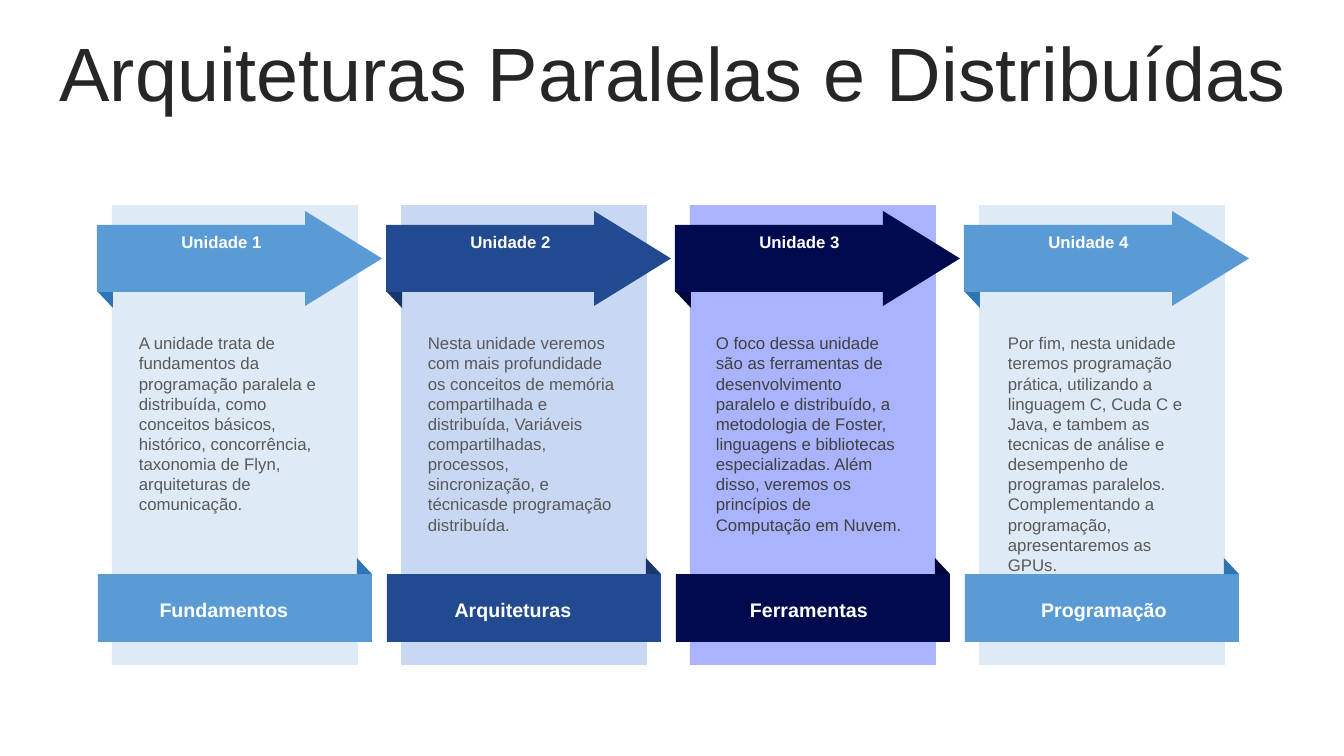
import pptx
import pptx.dml.color
import pptx.enum.shapes
import pptx.enum.text
import pptx.util

SCALE = 914400 / 100.8  # EMU per pixel
PITCH = 289  # distance between unit columns
SHAPES = pptx.enum.shapes.MSO_SHAPE
ALIGN = pptx.enum.text.PP_ALIGN
ANCHOR = pptx.enum.text.MSO_ANCHOR
AUTO_SIZE = pptx.enum.text.MSO_AUTO_SIZE

SKY = {"main": "5A9BD5", "fold": "2E75B5", "panel": "DEEBF7", "text": "595959"}
BLUE = {"main": "224A90", "fold": "19376C", "panel": "C9D8F2", "text": "595959"}
NAVY = {"main": "010A4F", "fold": "01073B", "panel": "AAB4FE", "text": "404040"}

# topic, palette, description, left of description, left of topic (within the column)
UNITS = [
    ("Fundamentos", SKY,
     "A unidade trata de fundamentos da programação paralela e distribuída, como "
     "conceitos básicos, histórico, concorrência, taxonomia de Flyn, arquiteturas "
     "de comunicação.", 129, 138),
    ("Arquiteturas", BLUE,
     "Nesta unidade veremos com mais profundidade os conceitos de memória "
     "compartilhada e distribuída, Variáveis compartilhadas, processos, "
     "sincronização, e técnicasde programação distribuída.", 129, 138),
    ("Ferramentas", NAVY,
     "O foco dessa unidade são as ferramentas de desenvolvimento paralelo e "
     "distribuído, a metodologia de Foster, linguagens e bibliotecas "
     "especializadas. Além disso, veremos os princípios de Computação em Nuvem.",
     128, 145),
    ("Programação", SKY,
     "Por fim, nesta unidade teremos programação prática, utilizando a linguagem "
     "C, Cuda C e Java, e tambem as tecnicas de análise e desempenho de programas "
     "paralelos. Complementando a programação, apresentaremos as GPUs.", 131, 151),
]


def px(length):
    """Turn pixels into EMU."""
    return pptx.util.Emu(round(length * SCALE))


def rgb(color):
    """Turn a hex string into a colour."""
    return pptx.dml.color.RGBColor.from_string(color)


def write(frame, text, size=12, color="FFFFFF", bold=False, align=ALIGN.LEFT,
          anchor=ANCHOR.TOP, auto_size=AUTO_SIZE.SHAPE_TO_FIT_TEXT, font="Arial"):
    """Fill a text frame with one formatted paragraph and return it."""
    frame.word_wrap = True
    frame.auto_size = auto_size
    frame.vertical_anchor = anchor
    paragraph = frame.paragraphs[0]
    paragraph.alignment = align
    run = paragraph.add_run()
    run.text = text
    run.font.name = font
    run.font.size = pptx.util.Pt(size)
    run.font.bold = bold
    run.font.color.rgb = rgb(color)
    return paragraph


class UnitSlide:
    """Holds the current slide and draws its elements."""

    def __init__(self, presentation):
        """Add a slide that has only a title."""
        self.slide = presentation.slides.add_slide(presentation.slide_layouts[5])

    def title(self, text, left, top, width, height):
        """Place and fill the title placeholder."""
        title = self.slide.shapes.title
        title.left, title.top = px(left), px(top)
        title.width, title.height = px(width), px(height)
        paragraph = write(title.text_frame, text, size=54, color="262626",
                          align=ALIGN.CENTER, anchor=ANCHOR.MIDDLE,
                          auto_size=AUTO_SIZE.NONE)
        paragraph.line_spacing = 0.9

    def shape(self, kind, left, top, width, height, color, rotation=0):
        """Draw a flat preset shape without outline."""
        shape = self.slide.shapes.add_shape(kind, px(left), px(top), px(width), px(height))
        shape.shadow.inherit = False
        shape.fill.solid()
        shape.fill.fore_color.rgb = rgb(color)
        shape.line.fill.background()
        shape.rotation = rotation

    def text(self, text, left, top, width, height, **style):
        """Draw a wrapped text box."""
        box = self.slide.shapes.add_textbox(px(left), px(top), px(width), px(height))
        write(box.text_frame, text, **style)

    def unit(self, index, topic, palette, description, description_left, topic_left):
        """Draw one column: panel, footer ribbon, arrow and texts."""
        x = index * PITCH
        main, fold = palette["main"], palette["fold"]
        self.shape(SHAPES.RECTANGLE, x + 112, 205, 246, 460, palette["panel"])
        self.shape(SHAPES.RECTANGLE, x + 98, 574, 274, 68, main)
        self.shape(SHAPES.RIGHT_TRIANGLE, x + 357, 558, 15, 16, fold)
        self.shape(SHAPES.RECTANGLE, x + 97, 225, 208, 67, main)
        self.shape(SHAPES.RIGHT_TRIANGLE, x + 98, 292, 15, 16, fold, rotation=180)
        self.shape(SHAPES.ISOSCELES_TRIANGLE, x + 296, 220, 95, 77, main, rotation=90)
        self.text(description, x + description_left, 328, 209, 194, color=palette["text"])
        self.text(f"Unidade {index + 1}", x + 103, 227, 237, 30,
                  bold=True, align=ALIGN.CENTER)
        self.text(topic, x + topic_left, 593, 172, 34,
                  size=14, bold=True, align=ALIGN.CENTER)


presentation = pptx.Presentation()
presentation.slide_width, presentation.slide_height = px(1344), px(756)
unit_slide = UnitSlide(presentation)
unit_slide.title("Arquiteturas Paralelas e Distribuídas", 35, 37, 1276, 80)
for index, unit in enumerate(UNITS):
    unit_slide.unit(index, *unit)
presentation.save("out.pptx")
